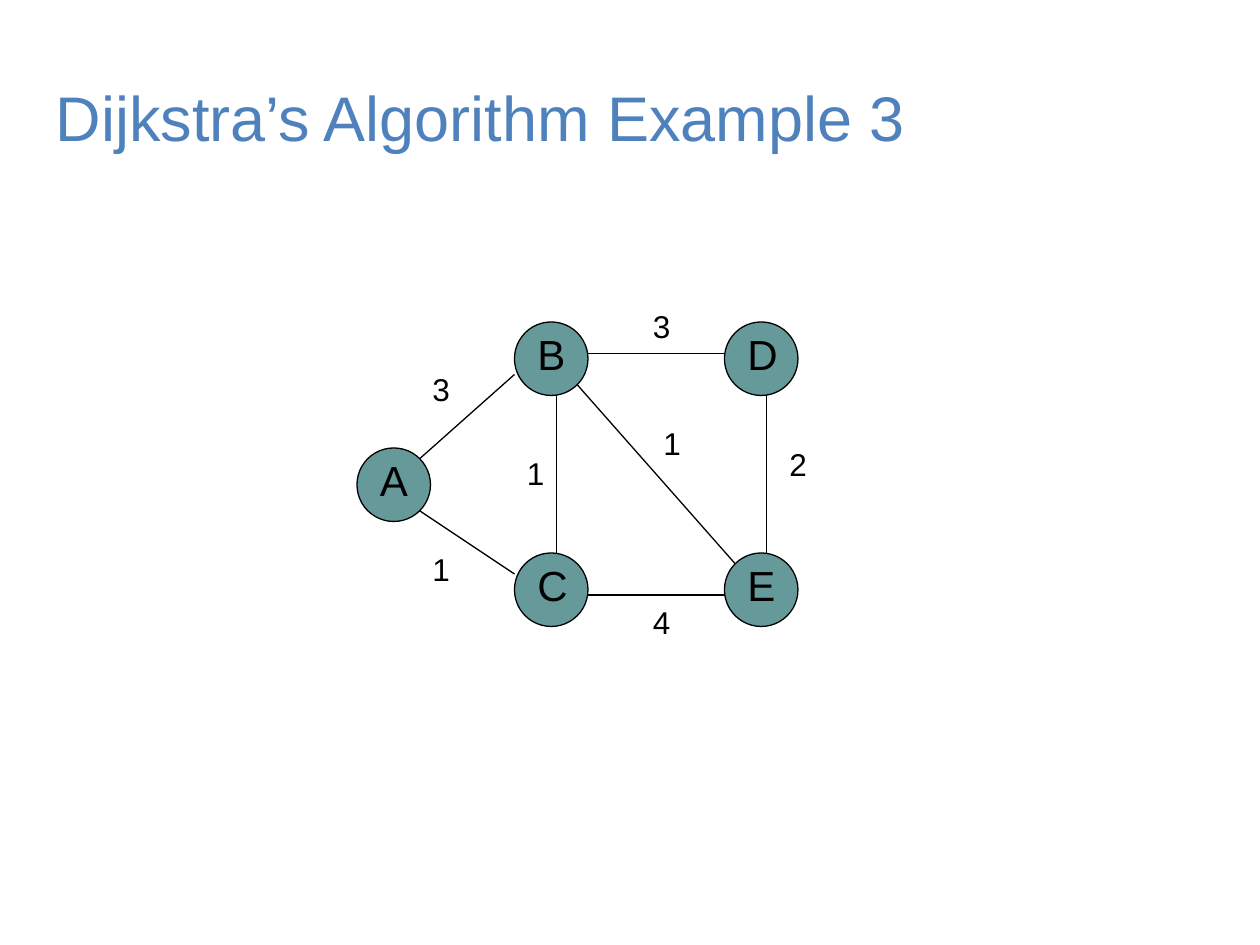
from lxml import etree
from pptx import Presentation
from pptx.dml.color import RGBColor
from pptx.enum.shapes import MSO_CONNECTOR, MSO_SHAPE
from pptx.enum.text import MSO_ANCHOR, MSO_AUTO_SIZE, PP_ALIGN
from pptx.oxml.ns import qn
from pptx.util import Pt

OVAL = MSO_SHAPE.OVAL
STRAIGHT = MSO_CONNECTOR.STRAIGHT
MIDDLE = MSO_ANCHOR.MIDDLE
CENTER = PP_ALIGN.CENTER
GROW = MSO_AUTO_SIZE.SHAPE_TO_FIT_TEXT

TITLE_BLUE = RGBColor(0x4F, 0x81, 0xBD)
NODE_TEAL = RGBColor(0x66, 0x99, 0x99)
BLACK = RGBColor(0, 0, 0)
FONT = "Arial"
NODE_SIZE = 42
LINE_WIDTH = Pt(0.75)


def write_run(paragraph, text, size, color):
    run = paragraph.add_run()
    run.text = text
    run.font.name = FONT
    run.font.size = Pt(size)
    run.font.color.rgb = color


def add_label(shapes, text, left, top, width, height, size):
    box = shapes.add_textbox(Pt(left), Pt(top), Pt(width), Pt(height))
    frame = box.text_frame
    frame.word_wrap = True
    frame.auto_size = GROW
    write_run(frame.paragraphs[0], text, size, BLACK)


prs = Presentation()
prs.slide_width = Pt(720)
prs.slide_height = Pt(540)
slide = prs.slides.add_slide(prs.slide_layouts[5])

title = slide.shapes.title
title.left, title.top, title.width, title.height = Pt(2), Pt(21.6), Pt(545), Pt(90)
title.text_frame.vertical_anchor = MIDDLE
heading = title.text_frame.paragraphs[0]
heading.alignment = CENTER
write_run(heading, "Dijkstra’s Algorithm Example 3", 36, TITLE_BLUE)

# Nodes: name, left, top
nodes = [
    ("A", 204, 256),
    ("B", 294, 184),
    ("C", 294, 316),
    ("E", 414, 316),
    ("D", 414, 184),
]
for name, left, top in nodes:
    node = slide.shapes.add_group_shape()
    circle = node.shapes.add_shape(OVAL, Pt(left), Pt(top), Pt(NODE_SIZE), Pt(NODE_SIZE))
    circle.shadow.inherit = False
    circle.fill.solid()
    circle.fill.fore_color.rgb = NODE_TEAL
    circle.line.color.rgb = BLACK
    circle.line.width = LINE_WIDTH
    add_label(node.shapes, name, left + 6, top, 36, 36, 24)

# Edges: start x, start y, end x, end y, weight, weight left, weight top
edges = [
    (240, 262, 294, 214, "3", 240, 208),  # A-B
    (240, 292, 294, 328, "1", 240, 311),  # A-C
    (336, 340, 414, 340, "4", 366, 341),  # C-E
    (438, 316, 438, 226, "2", 444, 251),  # E-D
    (318, 316, 318, 226, "1", 294, 256),  # C-B
    (336, 202, 414, 202, "3", 366, 172),  # B-D
    (330, 220, 420, 322, "1", 372, 239),  # B-E
]
for x1, y1, x2, y2, weight, left, top in edges:
    edge = slide.shapes.add_connector(STRAIGHT, Pt(x1), Pt(y1), Pt(x2), Pt(y2))
    edge.line.color.rgb = BLACK
    edge.line.width = LINE_WIDTH
    etree.SubElement(edge._element.spPr, qn("a:effectLst"))
    add_label(slide.shapes, weight, left, top, NODE_SIZE, 29, 18)

prs.save("out.pptx")
